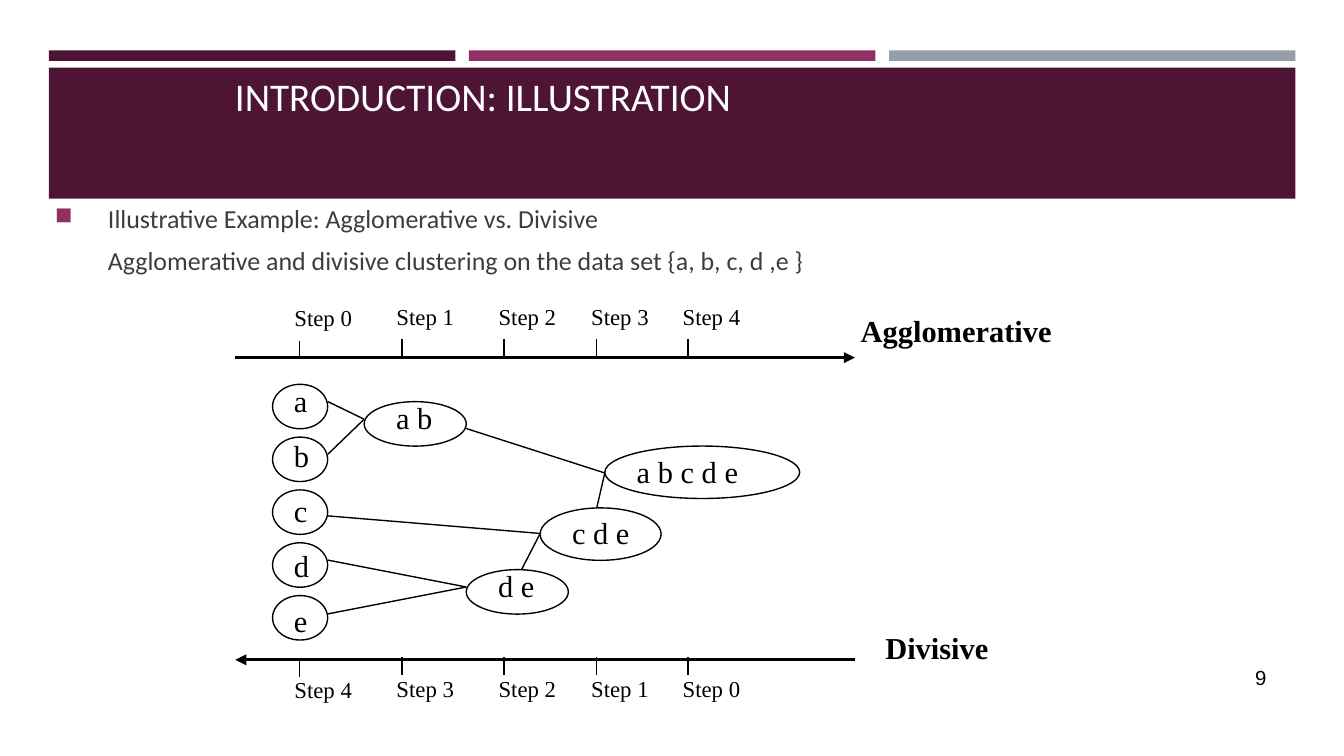
import pptx
import pptx.dml.color
import pptx.enum.shapes
import pptx.enum.text
import pptx.oxml
import pptx.oxml.ns
import pptx.util

Pt = pptx.util.Pt
RGBColor = pptx.dml.color.RGBColor
ALIGN = pptx.enum.text.PP_ALIGN
ANCHOR = pptx.enum.text.MSO_ANCHOR
SHAPE = pptx.enum.shapes.MSO_SHAPE

PLUM = RGBColor(0x4D, 0x14, 0x34)
BERRY = RGBColor(0x90, 0x31, 0x63)
SLATE = RGBColor(0x96, 0x9F, 0xA7)
GREY = RGBColor(0x3D, 0x3D, 0x3D)
BLACK = RGBColor(0, 0, 0)
WHITE = RGBColor(0xFF, 0xFF, 0xFF)

TITLE = {"name": "Calibri", "size": Pt(21), "color": WHITE}
BODY = {"name": "Calibri", "size": Pt(13.9), "color": GREY}
STEP = {"name": "Times New Roman", "size": Pt(12.2), "color": BLACK}
NODE = {"name": "Times New Roman", "size": Pt(16.3), "color": BLACK}
HEADING = {**NODE, "bold": True}
NUMBER = {"name": "Arial", "size": Pt(10.9), "color": BLACK}

BULLET = (
    '<a:buClr {ns}><a:srgbClr val="{color}"/></a:buClr>',
    '<a:buSzPct {ns} val="92000"/>',
    '<a:buChar {ns} char="■"/>',
)
TICKS = (34.6, 89.3, 144, 193.6, 242.6)
LEAF_PITCH = 28.3
LEAF_LABEL_PITCH = 29.5
MERGES = (
    ("a b", 49.1, 9.3, 54.7, 23.8),
    ("d e", 103.8, 99.3, 54.7, 23.8),
    ("c d e", 143.4, 66.2, 64.8, 28.1),
    ("a b c d e", 178, 33.1, 104.4, 28.1),
)
LINKS = (
    (29.7, 9.3, 49.1, 18.7),
    (29.7, 37.4, 49.1, 18.7),
    (29.7, 94.2, 103.8, 108.6),
    (29.7, 123, 103.8, 108.6),
    (29.7, 70.5, 143.4, 79.9),
    (133.4, 99.3, 143.4, 79.9),
    (103.8, 23.7, 178, 47.5),
    (173.7, 66.2, 178, 47.5),
)


def format_font(font, values):
    """Set each format value on a font."""
    for name, value in values.items():
        if name == "color":
            font.color.rgb = value
        else:
            setattr(font, name, value)


def add_text(page, box, text, values, align=ALIGN.LEFT, anchor=ANCHOR.TOP, wrap=False):
    """Add a text box with one line per paragraph and return its paragraphs."""
    frame = page.shapes.add_textbox(*map(Pt, box)).text_frame
    frame.word_wrap = wrap
    frame.vertical_anchor = anchor
    frame.text = text
    for para in frame.paragraphs:
        para.alignment = align
        for span in para.runs:
            format_font(span.font, values)
    return frame.paragraphs


def add_bar(page, box, color):
    """Add a plain filled rectangle."""
    bar = page.shapes.add_shape(SHAPE.RECTANGLE, *map(Pt, box))
    bar.shadow.inherit = False
    bar.fill.solid()
    bar.fill.fore_color.rgb = color
    bar.line.fill.background()


def add_ellipse(page, box):
    """Add an outlined ellipse without fill."""
    ellipse = page.shapes.add_shape(SHAPE.OVAL, *map(Pt, box))
    ellipse.shadow.inherit = False
    ellipse.fill.background()
    ellipse.line.color.rgb = BLACK
    ellipse.line.width = Pt(0.75)


def add_line(page, ends, width=0.75, arrow=None):
    """Add a black line, with an arrowhead at the named end if any."""
    kind = pptx.enum.shapes.MSO_CONNECTOR.STRAIGHT
    line = page.shapes.add_connector(kind, *map(Pt, ends))
    line.line.color.rgb = BLACK
    line.line.width = Pt(width)
    qn = pptx.oxml.ns.qn
    if arrow:
        outline = line.line._get_or_add_ln()
        outline.append(outline.makeelement(qn(f"a:{arrow}"), {"type": "triangle"}))
    properties = line._element.spPr
    properties.append(properties.makeelement(qn("a:effectLst"), {}))


def draw_banner(page, box, title):
    """Draw three accent strips above the title block."""
    left, top, width, height = box
    gap = 7.3
    strip = (width - 2 * gap) / 3
    for index, color in enumerate((PLUM, BERRY, SLATE)):
        add_bar(page, (left + index * (strip + gap), top, strip, 5.6), color)
    add_bar(page, (left, top + 9.2, width, height - 9.2), PLUM)
    title_box = (left + 92.6, top + 5, 551, 35.7)
    add_text(page, title_box, title, TITLE, anchor=ANCHOR.BOTTOM, wrap=True)


def draw_body(page, box, lines):
    """Write a bulleted line and the indented lines below it."""
    paras = add_text(page, box, "\n".join(lines), BODY, wrap=True)
    for index, para in enumerate(paras):
        para.line_spacing = 0.9
        para.space_after = Pt(4.5)
        properties = para._p.get_or_add_pPr()
        properties.set("marL", str(Pt(28.5)))
        if index:
            para.space_before = Pt(2.8)
            continue
        properties.set("indent", str(-Pt(28.5)))
        namespace = pptx.oxml.ns.nsdecls("a")
        for piece in BULLET:
            xml = piece.format(ns=namespace, color=BERRY)
            properties.append(pptx.oxml.parse_xml(xml))


def draw_timeline(page, box, steps, axis, label, arrow):
    """Draw an arrow with ticks and step labels at offsets from the box top."""
    left, top, width, height = box
    add_line(page, (left, top + axis, left + width, top + axis), 1.5, arrow)
    tick = max(axis - 10, 0)
    for index, (offset, step) in enumerate(zip(TICKS, steps)):
        x = left + offset
        y = top if index else top + 0.9
        add_line(page, (x, y + tick, x, y + tick + 9.4))
        add_text(page, (x - 10, y + label, 49.7, 22.3), f"Step {step}", STEP, wrap=True)


def draw_tree(page, box):
    """Draw the leaves, the merged clusters and the links between them."""
    left, top, width, height = box
    for index, name in enumerate("abcde"):
        add_ellipse(page, (left, top + index * LEAF_PITCH, 29.5, 23.8))
        label_top = top - 5 + index * LEAF_LABEL_PITCH
        add_text(page, (left + 4.3, label_top, 23, 27.4), name, NODE)
    for name, x, y, wide, high in MERGES:
        add_ellipse(page, (left + x, top + y, wide, high))
        label_top = top + y - (5 if high < 25 else 0)
        label_width = 10.2 + 12 * len(name.split())
        add_text(page, (left + x + 10, label_top, label_width, 27.4), name, NODE)
    for x1, y1, x2, y2 in LINKS:
        add_line(page, (left + x1, top + y1, left + x2, top + y2))


def main():
    """Build the slide and save it."""
    deck = pptx.Presentation()
    deck.slide_width, deck.slide_height = Pt(720), Pt(405)
    page = deck.slides.add_slide(deck.slide_layouts[6])
    draw_banner(page, (26.2, 27, 667.8, 79.4), "INTRODUCTION: ILLUSTRATION")
    draw_body(page, (22.3, 107, 535, 56), (
        "Illustrative Example: Agglomerative vs. Divisive",
        "Agglomerative and divisive clustering on the data set {a, b, c, d ,e }",
    ))
    draw_timeline(page, (126, 158.4, 332, 33.2), range(5), 33.2, 0, "tailEnd")
    draw_tree(page, (146, 205.9, 282.4, 137))
    draw_timeline(page, (126, 352.2, 332, 28), range(4, -1, -1), 1.3, 5.5, "headEnd")
    add_text(page, (453.6, 163.4, 117.4, 27.4), "Agglomerative", HEADING, ALIGN.CENTER)
    add_text(page, (466.6, 333.6, 70.6, 27.4), "Divisive", HEADING, ALIGN.CENTER)
    add_text(page, (623.5, 352, 62, 21.6), "9", NUMBER, ALIGN.RIGHT, ANCHOR.MIDDLE)
    deck.save("out.pptx")


if __name__ == "__main__":
    main()
